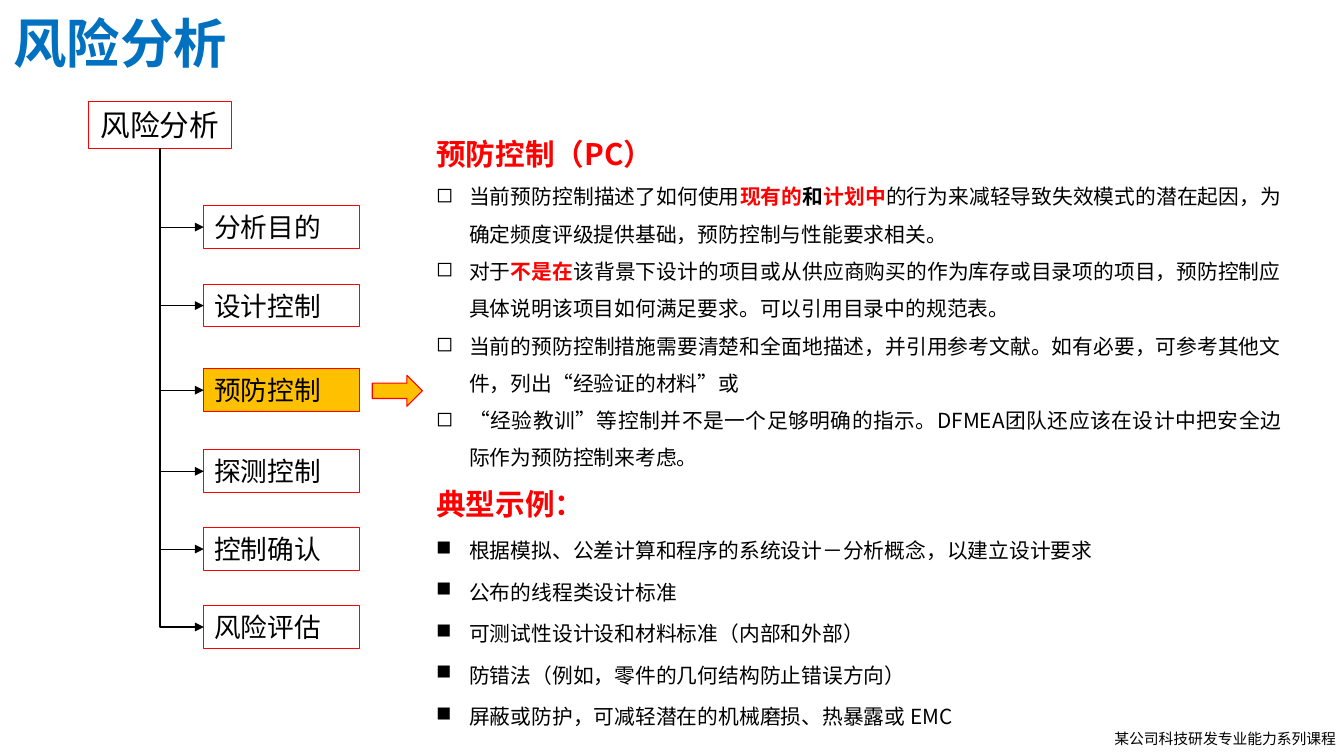
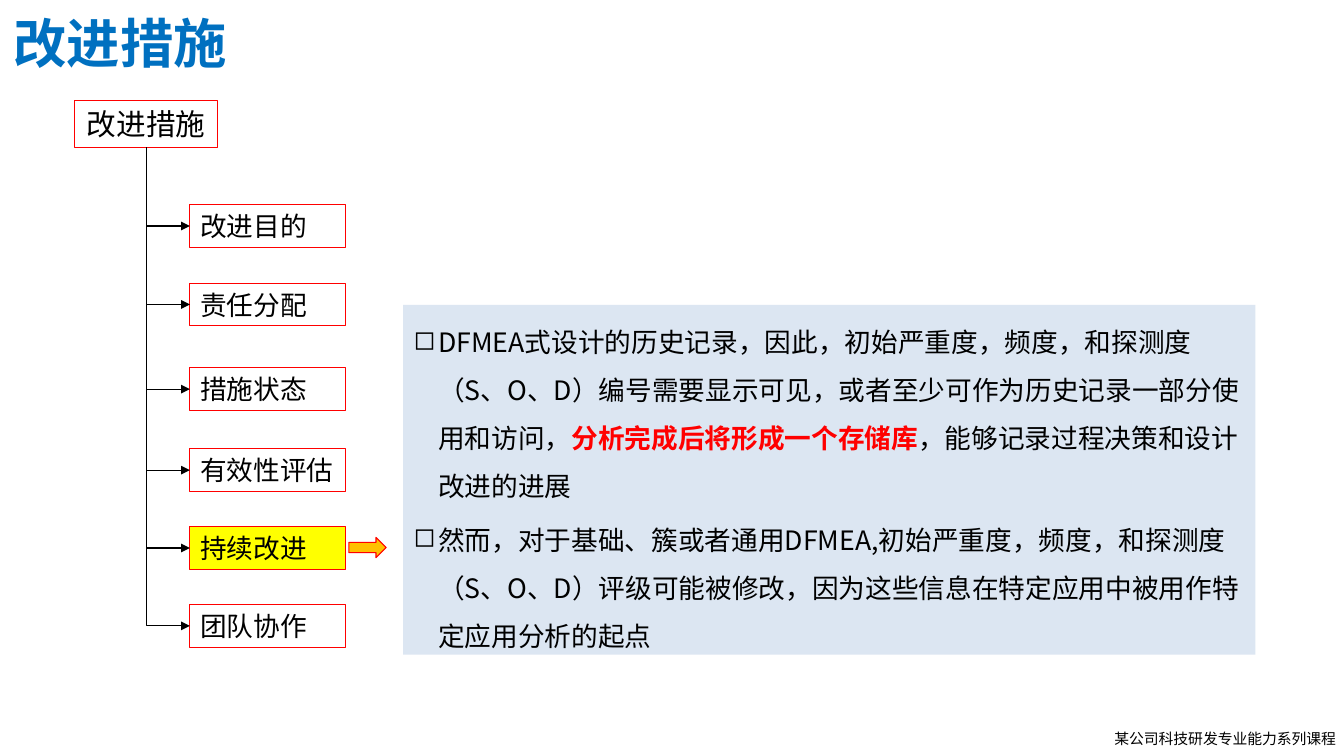
import pptx
import pptx.util
import pptx.dml.color
import pptx.enum.shapes
import pptx.enum.text
import pptx.oxml.ns
import lxml.etree

SANS, SERIF = "Noto Sans CJK SC", "Times New Roman"
BLACK, RED, BLUE = "000000", "FF0000", "0070C0"
AMBER, YELLOW, PALE = "FFC000", "FFFF00", "DCE6F2"
COLUMNS, ROWS = 126, 70.9
FOOTER = "某公司科技研发专业能力系列课程"
BRANCH_ROWS = [9.8, 17.15, 25.1, 32.7, 40, 47.3]
SHAPE = pptx.enum.shapes.MSO_SHAPE
ALIGN = pptx.enum.text.PP_ALIGN
ANCHOR = pptx.enum.text.MSO_ANCHOR


def grid(*cells):
    """Turn grid columns or rows, ten to the inch, into lengths."""
    return [pptx.util.Inches(c / 10) for c in cells]


def rgb(color):
    """Turn a hex string into a colour."""
    return pptx.dml.color.RGBColor.from_string(color)


def sub(parent, tag, **attributes):
    """Append a DrawingML element."""
    return lxml.etree.SubElement(parent, pptx.oxml.ns.qn(tag), attributes)


def style(r, size, color=BLACK, bold=False, font=SANS):
    """Format one run."""
    r.font.size = pptx.util.Pt(size)
    r.font.bold = bold
    r.font.name = font
    r.font.color.rgb = rgb(color)
    sub(r._r.get_or_add_rPr(), "a:ea", typeface=SANS)


def add_bullet(p, char, indent):
    """Give a paragraph a hanging bullet; indent is in grid columns."""
    pPr = p._p.get_or_add_pPr()
    margin = grid(indent)[0]
    pPr.set("marL", str(margin))
    pPr.set("indent", str(-margin))
    sub(pPr, "a:buChar", char=char)


def write(p, text, size, color=BLACK, bold=False, font=SANS, align=ALIGN.LEFT):
    """Write a paragraph in one format."""
    p.text = text
    p.alignment = align
    style(p.runs[0], size, color, bold, font)


def write_list(tf, items, size, char, indent, align=ALIGN.LEFT, gap=0, heading=None):
    """Write a heading and bulleted items made of (text, colour, bold) runs."""
    tf.word_wrap = True
    if heading:
        write(tf.paragraphs[0], heading, 20, RED, True, align=align)
        tf.paragraphs[0].line_spacing = 1.5
    for i, runs in enumerate(items):
        first = i == 0 and not heading
        p = tf.paragraphs[0] if first else tf.add_paragraph()
        add_bullet(p, char, indent)
        p.alignment = align
        p.line_spacing = 1.5
        p.space_before = pptx.util.Pt(0 if first else gap)
        for text, *look in runs:
            r = p.add_run()
            r.text = text
            style(r, size, *look)


def add_text(s, *box):
    """Add a wrapping text box and return its text frame."""
    tf = s.shapes.add_textbox(*grid(*box)).text_frame
    tf.word_wrap = True
    return tf


def add_block(s, kind, box, fill=None, line=RED):
    """Add a flat preset shape."""
    sp = s.shapes.add_shape(kind, *grid(*box))
    sp.shadow.inherit = False
    if fill:
        sp.fill.solid()
        sp.fill.fore_color.rgb = rgb(fill)
    else:
        sp.fill.background()
    if line:
        sp.line.color.rgb = rgb(line)
        sp.line.width = pptx.util.Pt(0.75)
    else:
        sp.line.fill.background()
    return sp


def add_label(s, box, text, size, font, align, fill=None):
    """Add a red-edged box with one line of text."""
    tf = add_block(s, SHAPE.RECTANGLE, box, fill).text_frame
    tf.vertical_anchor = ANCHOR.MIDDLE
    tf.word_wrap = True
    write(tf.paragraphs[0], text, size, font=font, align=align)


def add_branch(s, x, y, dx, dy):
    """Add an arrow that runs down by dy and then right by dx."""
    left, top = x + (dx - dy) / 2, y + (dy - dx) / 2
    c = s.shapes.add_connector(pptx.enum.shapes.MSO_CONNECTOR.ELBOW,
                               *grid(left + dy, top, left, top + dx))
    c.line.color.rgb = rgb(BLACK)
    c.line.width = pptx.util.Pt(0.75)
    spPr = c._element.spPr
    spPr.find(pptx.oxml.ns.qn("a:xfrm")).set("rot", "16200000")
    spPr.find(pptx.oxml.ns.qn("a:prstGeom")).set("prst", "bentConnector2")
    sub(c.line._get_or_add_ln(), "a:tailEnd", type="triangle")
    sub(spPr, "a:effectLst")


def add_tree(s, x, y, root, branches, active, fill, font):
    """Add a root box with its branches, one of them highlighted."""
    add_label(s, (x, y, 13.4, 4.4), root, 20, font, ALIGN.CENTER)
    for i, (row, text) in enumerate(zip(BRANCH_ROWS, branches)):
        add_label(s, (x + 10.8, y + row, 14.6, 4), text, 18, font, ALIGN.JUSTIFY,
                  fill if i == active else None)
        add_branch(s, x + 6.7, y + 4.4, 4.1, row - 2.4)


def add_page(prs, title):
    """Add a blank slide with the shared title and footer."""
    s = prs.slides.add_slide(prs.slide_layouts[6])
    write(add_text(s, 0.3, 0.5, 49.6, 7.1).paragraphs[0], title, 36, BLUE, True)
    tf = add_text(s, 103.5, 67.9, 23.7, 2.7)
    tf.word_wrap = False
    write(tf.paragraphs[0], FOOTER, 10)
    return s


def build_risk(prs):
    """Build the risk analysis slide."""
    s = add_page(prs, "风险分析")
    branches = ["分析目的", "设计控制", "预防控制", "探测控制", "控制确认", "风险评估"]
    add_tree(s, 8.3, 9.5, "风险分析", branches, 2, AMBER, SANS)
    add_block(s, SHAPE.RIGHT_ARROW, (34.9, 35.2, 4.7, 2.9), AMBER)
    controls = [
        [("当前预防控制描述了如何使用",), ("现有的", RED, True), ("和", BLACK, True),
         ("计划中", RED, True),
         ("的行为来减轻导致失效模式的潜在起因，为确定频度评级提供基础，预防控制与性能要求相关。",)],
        [("对于",), ("不是在", RED, True),
         ("该背景下设计的项目或从供应商购买的作为库存或目录项的项目，预防控制应具体说明该项目如何满足要求。可以引用目录中的规范表。",)],
        [("当前的预防控制措施需要清楚和全面地描述，并引用参考文献。如有必要，可参考其他文件，列出“经验证的材料”或",)],
        [("“经验教训”等控制并不是一个足够明确的指示。DFMEA团队还应该在设计中把安全边际作为预防控制来考虑。",)],
    ]
    write_list(add_text(s, 39.9, 10.6, 81.2, 33.9), controls, 14, "◻", 3.1,
               ALIGN.JUSTIFY, heading="预防控制（PC）")
    examples = [
        "根据模拟、公差计算和程序的系统设计－分析概念，以建立设计要求",
        "公布的线程类设计标准",
        "可测试性设计设和材料标准（内部和外部）",
        "防错法（例如，零件的几何结构防止错误方向）",
        "屏蔽或防护，可减轻潜在的机械磨损、热暴露或 EMC",
    ]
    write_list(add_text(s, 39.9, 43.4, 82.9, 24.5), [[(e,)] for e in examples], 14,
               "■", 3.1, gap=2.8, heading="典型示例：")


def build_improvement(prs):
    """Build the improvement measures slide."""
    s = add_page(prs, "改进措施")
    branches = ["改进目的", "责任分配", "措施状态", "有效性评估", "持续改进", "团队协作"]
    add_tree(s, 7, 9.4, "改进措施", branches, 4, YELLOW, SERIF)
    add_block(s, SHAPE.RIGHT_ARROW, (32.7, 50.4, 3.5, 1.9), AMBER)
    panel = add_block(s, SHAPE.RECTANGLE, (37.8, 28.6, 79.9, 32.8), PALE, None)
    panel.text_frame.vertical_anchor = ANCHOR.TOP
    records = [
        [("DFMEA式设计的历史记录，因此，初始严重度，频度，和探测度（S、O、D）编号需要显示可见，或者至少可作为历史记录一部分使用和访问，",),
         ("分析完成后将形成一个存储库", RED, True),
         ("，能够记录过程决策和设计改进的进展",)],
        [("然而，对于基础、簇或者通用DFMEA,初始严重度，频度，和探测度（S、O、D）评级可能被修改，因为这些信息在特定应用中被用作特定应用分析的起点",)],
    ]
    write_list(panel.text_frame, records, 18, "◻", 2.3, gap=3.6)


def main():
    """Build and save the presentation."""
    prs = pptx.Presentation()
    prs.slide_width, prs.slide_height = grid(COLUMNS, ROWS)
    build_risk(prs)
    build_improvement(prs)
    prs.save("out.pptx")


if __name__ == "__main__":
    main()
